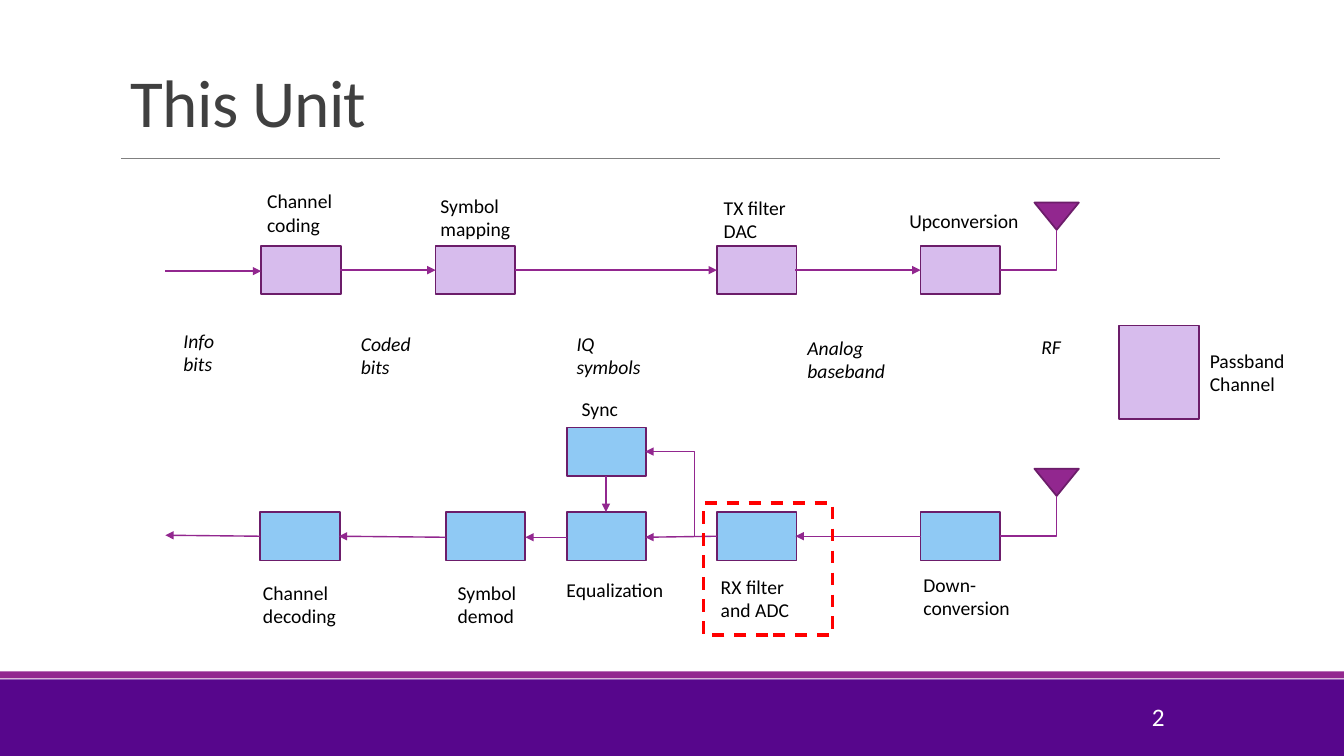
"""Draw a transmitter and receiver chain slide titled This Unit."""
from dataclasses import dataclass

from lxml import etree
from pptx import Presentation
from pptx import util as u
from pptx.dml.color import RGBColor
from pptx.enum import dml, shapes, text
from pptx.oxml import ns

COLOURS = {
    "band": "57068C", "accent": "92278F", "edge": "6C1D6A", "transmit": "D7BCED",
    "receive": "8FC9F4", "highlight": "FF0000", "rule": "808080",
    "title": "404040", "label": "000000", "number": "FFFFFF",
}
FONT = "Calibri"
BLOCK_WIDTH, BLOCK_HEIGHT = 0.79, 0.48
TRANSMIT_TOP, RECEIVE_TOP, SYNC_TOP = 2.44, 5.08, 4.24
TRANSMIT_MID, RECEIVE_MID, SYNC_MID = 2.68, 5.32, 4.48
ANTENNA_LEFT, ANTENNA_MID = 10.26, 10.48


@dataclass(frozen=True)
class Block:
    left: float
    top: float
    fill: str
    width: float = BLOCK_WIDTH
    height: float = BLOCK_HEIGHT
    kind: shapes.MSO_SHAPE = shapes.MSO_SHAPE.RECTANGLE
    rotation: int = 0
    edge: str = "edge"
    weight: float = 1.25


@dataclass(frozen=True)
class Label:
    words: str
    left: float
    top: float
    width: float
    height: float = 0.57
    italic: bool = False
    wrap: bool = True
    size: int = 14
    colour: str = "label"
    anchor: text.MSO_ANCHOR = text.MSO_ANCHOR.TOP
    align: text.PP_ALIGN = text.PP_ALIGN.LEFT


@dataclass(frozen=True)
class Link:
    start: tuple[float, float]
    end: tuple[float, float]
    arrow: str = "tailEnd"
    bent: bool = False
    colour: str = "accent"
    weight: float = 1


BLOCKS = [
    *(Block(left, TRANSMIT_TOP, "transmit") for left in (2.59, 4.32, 7.11, 9.13)),
    *(Block(left, RECEIVE_TOP, "receive") for left in (2.58, 4.42, 5.62, 7.11, 9.13)),
    Block(5.62, SYNC_TOP, "receive"),
    Block(11.1, 3.23, "transmit", height=0.93),
    *(Block(ANTENNA_LEFT, top, "accent", 0.44, 0.27,
            shapes.MSO_SHAPE.ISOSCELES_TRIANGLE, 180) for top in (2.01, 4.65)),
]
BANDS = [
    Block(0, 6.74, "band", 13.33, 0.76, edge=""),
    Block(0, 6.66, "accent", 13.33, 0.07, edge=""),
]
HIGHLIGHT = Block(6.98, 4.99, "", 1.28, 1.31, edge="highlight", weight=2.25)

TITLE = Label("This Unit", 1.2, 0.31, 11, 1.14, size=48, colour="title",
              anchor=text.MSO_ANCHOR.BOTTOM)
PAGE_NUMBER = Label("2", 10.22, 6.91, 1.43, 0.4, size=18, colour="number",
                    anchor=text.MSO_ANCHOR.MIDDLE, align=text.PP_ALIGN.RIGHT)
LABELS = [
    Label("Channel coding", 2.55, 1.83, 1.05),
    Label("Symbol\vmapping", 4.27, 1.87, 0.9, wrap=False),
    Label("TX filter DAC", 7.08, 1.89, 1.03),
    Label("Upconversion", 8.92, 2.02, 1.29, 0.34),
    Label("Info bits", 1.72, 3.21, 0.78, italic=True),
    Label("Coded bits", 3.48, 3.24, 0.78, italic=True),
    Label("IQ symbols", 5.62, 3.24, 0.95, italic=True),
    Label("Analog baseband", 7.91, 3.28, 1.04, italic=True),
    Label("RF", 10.23, 3.27, 0.57, 0.34, italic=True),
    Label("Passband\nChannel", 11.9, 3.41, 1.29),
    Label("Sync", 5.67, 3.89, 1.29, 0.34),
    Label("Channel\vdecoding", 2.51, 5.71, 0.95),
    Label("Symbol\vdemod", 4.44, 5.71, 0.95),
    Label("Equalization", 5.52, 5.68, 1.29, 0.34),
    Label("RX filter\vand ADC", 7.05, 5.65, 1.29),
    Label("Down-conversion", 9.06, 5.63, 1.29),
]

TITLE_RULE = Link((1.2, 1.57), (12.1, 1.57), "", colour="rule", weight=0.5)
LINKS = [
    Link((1.64, 2.69), (2.59, 2.69)),
    *(Link((start, TRANSMIT_MID), (end, TRANSMIT_MID))
      for start, end in ((3.37, 4.32), (5.11, 7.11), (7.89, 9.13))),
    Link((9.13, RECEIVE_MID), (7.89, RECEIVE_MID)),
    Link((7.11, RECEIVE_MID), (6.4, 5.33)),
    Link((5.62, 5.33), (5.21, 5.33)),
    Link((4.42, 5.33), (3.36, RECEIVE_MID)),
    Link((2.58, RECEIVE_MID), (1.64, 5.31)),
    Link((6.01, 4.72), (6.01, RECEIVE_TOP)),
    Link((6.4, SYNC_MID), (6.89, RECEIVE_MID), "headEnd", bent=True),
    Link((9.92, TRANSMIT_MID), (ANTENNA_MID, 2.28), "", bent=True),
    Link((9.92, RECEIVE_MID), (ANTENNA_MID, 4.92), "", bent=True),
]


def colour_of(name: str) -> RGBColor:
    return RGBColor.from_string(COLOURS[name])


def draw_block(page, block: Block):
    box = page.shapes.add_shape(
        block.kind, u.Inches(block.left), u.Inches(block.top),
        u.Inches(block.width), u.Inches(block.height))
    box.shadow.inherit = False
    box.rotation = block.rotation
    if block.fill:
        box.fill.solid()
        box.fill.fore_color.rgb = colour_of(block.fill)
    else:
        box.fill.background()
    if block.edge:
        box.line.color.rgb = colour_of(block.edge)
        box.line.width = u.Pt(block.weight)
    else:
        box.line.fill.background()
    return box


def draw_label(page, label: Label):
    box = page.shapes.add_textbox(
        u.Inches(label.left), u.Inches(label.top),
        u.Inches(label.width), u.Inches(label.height))
    frame = box.text_frame
    frame.word_wrap = label.wrap
    frame.vertical_anchor = label.anchor
    frame.text = label.words
    for para in frame.paragraphs:
        para.alignment = label.align
        para.font.name = FONT
        para.font.size = u.Pt(label.size)
        para.font.italic = label.italic
        para.font.color.rgb = colour_of(label.colour)
    return box


def draw_link(page, link: Link) -> None:
    kind = shapes.MSO_CONNECTOR.ELBOW if link.bent else shapes.MSO_CONNECTOR.STRAIGHT
    line = page.shapes.add_connector(
        kind, *(u.Inches(value) for value in link.start + link.end))
    line.line.color.rgb = colour_of(link.colour)
    line.line.width = u.Pt(link.weight)
    properties = line._element.spPr
    if link.bent:
        properties.find(ns.qn("a:prstGeom")).set("prst", "bentConnector2")
    if link.arrow:
        outline = properties.find(ns.qn("a:ln"))
        etree.SubElement(outline, ns.qn(f"a:{link.arrow}"), type="triangle")
    etree.SubElement(properties, ns.qn("a:effectLst"))


def main() -> None:
    deck = Presentation()
    deck.slide_width, deck.slide_height = u.Inches(13.33), u.Inches(7.5)
    page = deck.slides.add_slide(deck.slide_layouts[6])
    for band in BANDS:
        draw_block(page, band)
    draw_link(page, TITLE_RULE)
    title = draw_label(page, TITLE).text_frame.paragraphs[0]
    title.line_spacing = 0.85
    for span in title.runs:
        span._r.get_or_add_rPr().set("spc", "-50")
    draw_label(page, PAGE_NUMBER)
    for block in BLOCKS:
        draw_block(page, block)
    for label in LABELS:
        draw_label(page, label)
    for link in LINKS:
        draw_link(page, link)
    draw_block(page, HIGHLIGHT).line.dash_style = dml.MSO_LINE.DASH
    deck.save("out.pptx")


if __name__ == "__main__":
    main()
